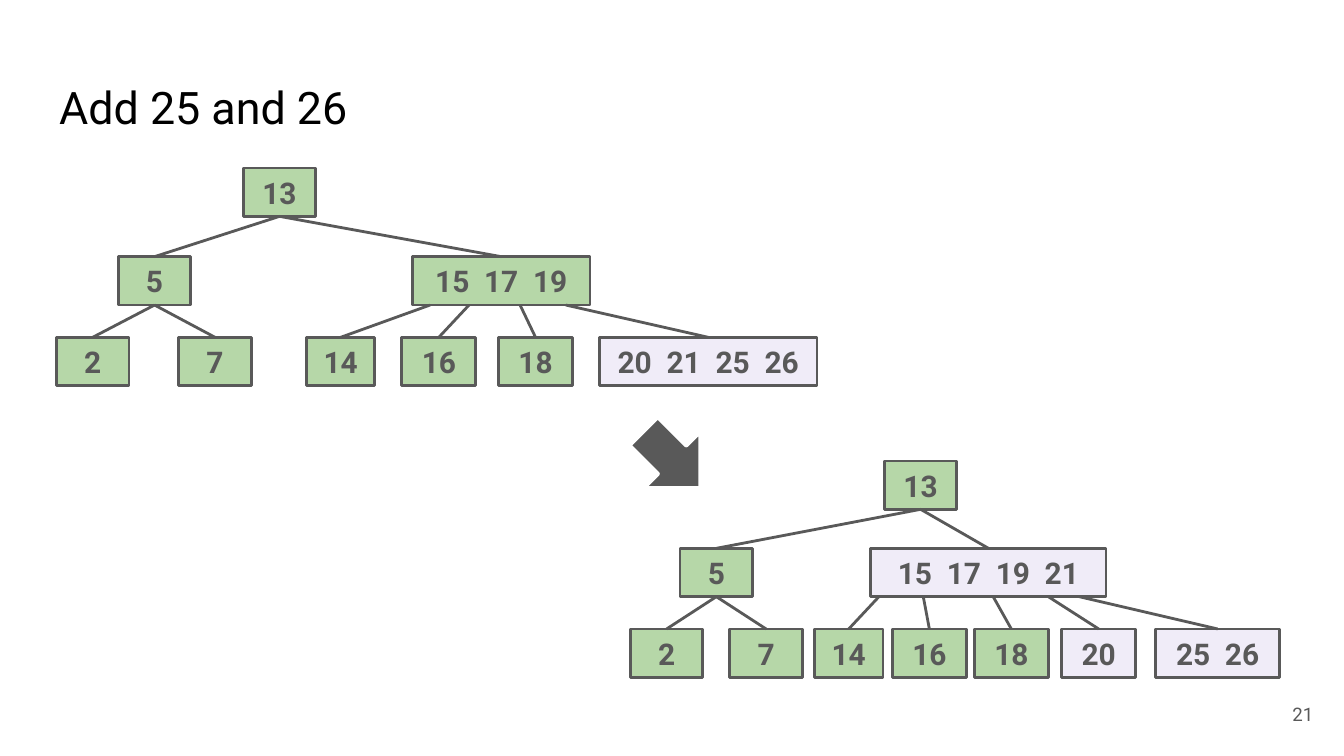
from dataclasses import dataclass
from typing import Optional

from lxml import etree
from pptx import Presentation
from pptx import util as u
from pptx.dml.color import RGBColor
from pptx.enum import shapes, text
from pptx.oxml.ns import qn

COLORS = {
    "ink": "595959",
    "title": "000000",
    "kept": "B6D7A8",
    "changed": "F0ECF8",
    "paper": "FFFFFF",
}
FONT = "Roboto"
NODE_HEIGHT = 0.36
BOTTOM, TOP = 2, 0


@dataclass(frozen=True)
class Node:
    """A tree node; fork_x is where its edge leaves the parent (None: middle)."""
    keys: tuple[int, ...]
    left: float
    width: float = 0.54
    fill: str = "kept"
    fork_x: Optional[float] = None
    children: tuple["Node", ...] = ()


BEFORE = Node((13,), 1.81, children=(
    Node((5,), 0.88, children=(Node((2,), 0.42), Node((7,), 1.33))),
    Node((15, 17, 19), 3.07, 1.32, children=(
        Node((14,), 2.28, 0.51, fork_x=3.2),
        Node((16,), 2.99, 0.55, fork_x=3.49),
        Node((18,), 3.71, 0.55, fork_x=3.87),
        Node((20, 21, 25, 26), 4.46, 1.62, "changed", 4.21),
    )),
))
AFTER = Node((13,), 6.58, children=(
    Node((5,), 5.06, children=(Node((2,), 4.69), Node((7,), 5.43))),
    Node((15, 17, 19, 21), 6.48, 1.75, "changed", children=(
        Node((14,), 6.06, 0.51, fork_x=6.54),
        Node((16,), 6.64, 0.55, fork_x=6.87),
        Node((18,), 7.25, 0.55, fork_x=7.39),
        Node((20,), 7.9, 0.55, "changed", 7.8),
        Node((25, 26), 8.6, 0.92, "changed", 8.03),
    )),
))


def rgb(name: str) -> RGBColor:
    return RGBColor.from_string(COLORS[name])


def write(shape, words: str, size: float, color: str, align, anchor,
          bold: bool = False) -> None:
    frame = shape.text_frame
    frame.text = words
    frame.word_wrap = True
    frame.auto_size = text.MSO_AUTO_SIZE.NONE
    frame.vertical_anchor = anchor
    frame.margin_left = frame.margin_right = u.Inches(0.1)
    frame.margin_top = frame.margin_bottom = u.Inches(0.1)
    paragraph = frame.paragraphs[0]
    paragraph.alignment = align
    font = paragraph.runs[0].font
    font.name, font.size, font.bold = FONT, u.Pt(size), bold
    font.color.rgb = rgb(color)


def paint(shape, fill: str, line: str, line_width: float) -> None:
    shape.shadow.inherit = False
    shape.fill.solid()
    shape.fill.fore_color.rgb = rgb(fill)
    shape.line.color.rgb = rgb(line)
    shape.line.width = u.Pt(line_width)


def draw_edge(group, parent, child, fork_x: Optional[float]) -> None:
    start_x = parent.left + parent.width // 2 if fork_x is None else u.Inches(fork_x)
    edge = group.shapes.add_connector(
        shapes.MSO_CONNECTOR.STRAIGHT,
        start_x, parent.top + parent.height,
        child.left + child.width // 2, child.top)
    if fork_x is None:
        edge.begin_connect(parent, BOTTOM)
    edge.end_connect(child, TOP)
    edge.line.color.rgb = rgb("ink")
    edge.line.width = u.Pt(1.5)
    etree.SubElement(edge._element.spPr, qn("a:effectLst"))


def draw_tree(group, node: Node, levels: tuple[float, ...]):
    """Draw a node at the first level and its children below; return its box."""
    box = group.shapes.add_shape(
        shapes.MSO_SHAPE.RECTANGLE, u.Inches(node.left), u.Inches(levels[0]),
        u.Inches(node.width), u.Inches(NODE_HEIGHT))
    paint(box, node.fill, "ink", 1.5)
    write(box, "  ".join(map(str, node.keys)), 16, "ink",
          text.PP_ALIGN.CENTER, text.MSO_ANCHOR.MIDDLE, bold=True)
    for child in node.children:
        draw_edge(group, box, draw_tree(group, child, levels[1:]), child.fork_x)
    return box


def main() -> None:
    deck = Presentation()
    deck.slide_width = u.Inches(10)
    deck.slide_height = deck.slide_width * 9 // 16
    slide = deck.slides.add_slide(deck.slide_layouts[5])

    title = slide.shapes.title
    title.left, title.top = u.Inches(0.34), u.Inches(0.49)
    title.width, title.height = u.Inches(9.32), u.Inches(0.63)
    write(title, "Add 25 and 26", 24, "title",
          text.PP_ALIGN.LEFT, text.MSO_ANCHOR.TOP)

    page_number = slide.shapes.add_textbox(
        u.Inches(9.27), u.Inches(5.1), u.Inches(0.6), u.Inches(0.43))
    write(page_number, "21", 10, "ink",
          text.PP_ALIGN.RIGHT, text.MSO_ANCHOR.MIDDLE)

    for root, levels in ((BEFORE, (1.25, 1.91, 2.51)), (AFTER, (3.43, 4.08, 4.68))):
        draw_tree(slide.shapes.add_group_shape(), root, levels)

    split_arrow = slide.shapes.add_shape(
        shapes.MSO_SHAPE.RIGHT_ARROW,
        u.Inches(4.7), u.Inches(3.12), u.Inches(0.6), u.Inches(0.6))
    split_arrow.rotation = 45
    paint(split_arrow, "ink", "paper", 2.25)

    deck.save("out.pptx")


if __name__ == "__main__":
    main()
